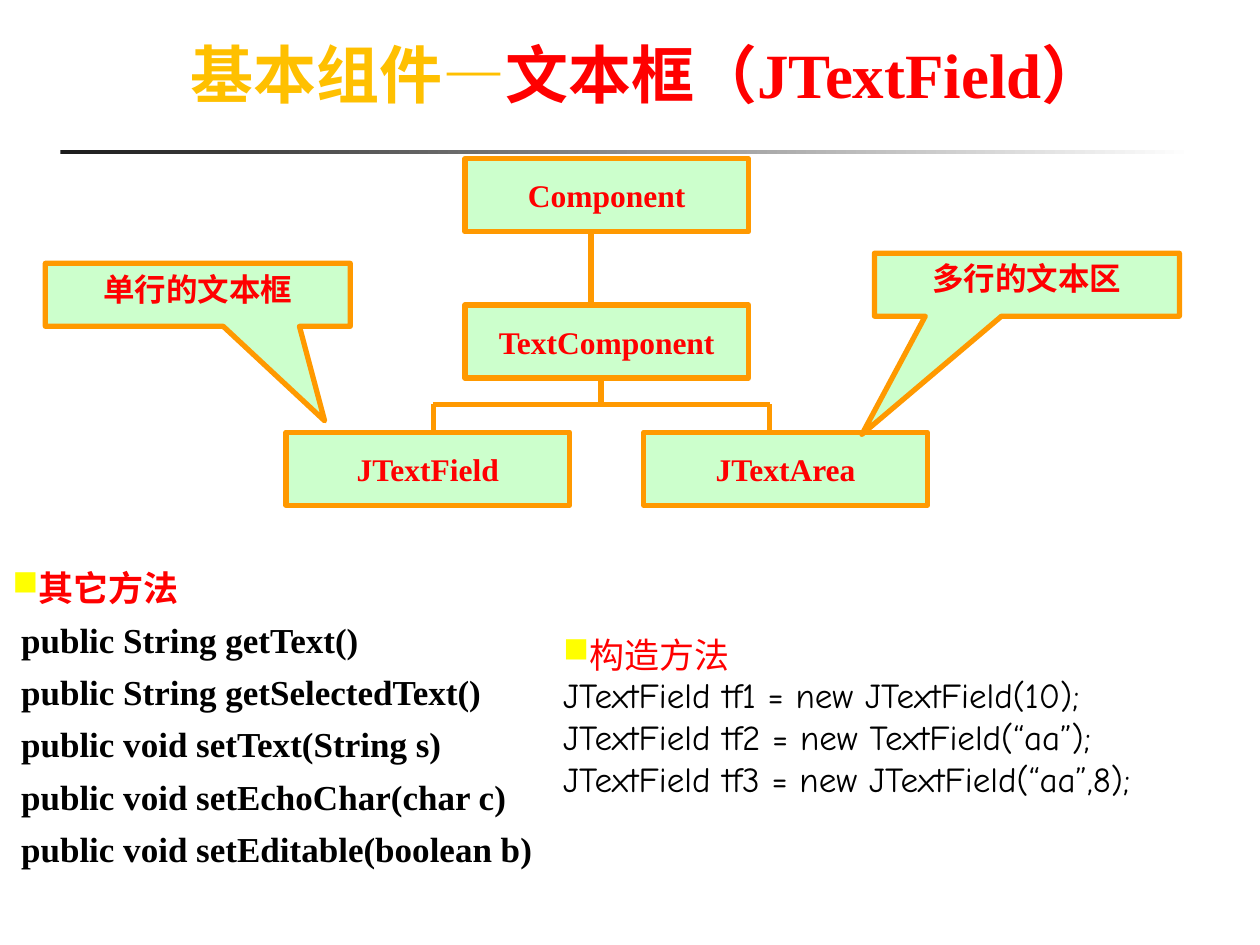
import pptx
import pptx.dml.color
import pptx.enum.shapes
import pptx.enum.text
import pptx.oxml.ns
import pptx.util
from lxml import etree

COLORS = {
    "red": "FF0000", "gold": "FFC000", "black": "000000", "yellow": "FFFF00",
    "mint": "CCFFCC", "orange": "FF9900", "dark": "1C1C1C", "white": "FFFFFF",
}
SERIF, HAN, COMIC = "Times New Roman", "Noto Sans CJK JP", "Comic Neue"

WIDTH, HEIGHT = pptx.util.Inches(10), pptx.util.Inches(7.5)
COL, ROW = WIDTH / 10, HEIGHT / 7.5

NODE_W, NODE_H = 2.25, 0.58
CALLOUT_W, CALLOUT_H = 2.42, 0.5
TRUNK_X, TEXT_ROW, LEAF_ROW, LEFT_COL, RIGHT_COL = 3.69, 2.42, 3.43, 2.27, 5.11
NODES = [
    ("Component", TRUNK_X, 1.26),
    ("TextComponent", TRUNK_X, TEXT_ROW),
    ("JTextField", LEFT_COL, LEAF_ROW),
    ("JTextArea", RIGHT_COL, LEAF_ROW),
]
CALLOUTS = [
    ("单行的文本框", 0.36, 2.09, (0.416, 2)),
    ("多行的文本区", 6.94, 2.01, (-0.541, 2.375)),
]
METHODS = [
    "public String getText()",
    "public String getSelectedText()",
    "public void setText(String s)",
    "public void setEchoChar(char c)",
    "public void setEditable(boolean b)",
]
CONSTRUCTORS = [
    "JTextField tf1 = new JTextField(10);",
    "JTextField tf2 = new TextField(“aa”);",
    "JTextField tf3 = new JTextField(“aa”,8);",
]


def rgb(name):
    return pptx.dml.color.RGBColor.from_string(COLORS[name])


def place(left, top, width, height):
    return [round(n) for n in (left * COL, top * ROW, width * COL, height * ROW)]


def write(p, text, font=SERIF, size=20, color="red", bold=True):
    r = p.add_run()
    r.text = text
    r.font.name, r.font.size, r.font.bold = font, pptx.util.Pt(size), bold
    r.font.color.rgb = rgb(color)
    east = etree.SubElement(r.font._element, pptx.oxml.ns.qn("a:ea"))
    east.set("typeface", HAN)


def add_bullet(p):
    """Put a yellow square directly in front of the paragraph."""
    qn = pptx.oxml.ns.qn
    props = p._p.get_or_add_pPr()
    color = etree.SubElement(props, qn("a:buClr"))
    etree.SubElement(color, qn("a:srgbClr")).set("val", COLORS["yellow"])
    etree.SubElement(props, qn("a:buChar")).set("char", "■")


def add_textbox(s, *box):
    tf = s.shapes.add_textbox(*place(*box)).text_frame
    tf.word_wrap = True
    return tf


def add_title(s):
    p = add_textbox(s, 0.39, 0.23, 9, 0.7).paragraphs[0]
    p.alignment = pptx.enum.text.PP_ALIGN.CENTER
    p._p.get_or_add_pPr().set("marL", str(pptx.util.Inches(0.5)))
    write(p, "基本组件—", font=HAN, size=36, color="gold")
    write(p, "文本框（JTextField）", size=36)


def add_code_list(s, box, heading, lines, spacing, heading_bold, **style):
    tf = add_textbox(s, *box)
    p = tf.paragraphs[0]
    p.line_spacing = 1.2
    add_bullet(p)
    write(p, heading, bold=heading_bold)
    for line in lines:
        p = tf.add_paragraph()
        p.line_spacing = spacing
        p.space_before = pptx.util.Pt(1)
        write(p, line, color="black", **style)


def add_rule(s):
    rect = pptx.enum.shapes.MSO_SHAPE.RECTANGLE
    sp = s.shapes.add_shape(rect, *place(0.48, 1.19, 9, 0.03))
    sp.shadow.inherit = False
    sp.line.fill.background()
    sp.fill.gradient()
    sp.fill.gradient_angle = 0
    for stop, position, color in zip(sp.fill.gradient_stops, (0, 1), ("dark", "white")):
        stop.position = position
        stop.color.rgb = rgb(color)


def add_box(s, kind, text, box, anchor, wrap):
    sp = s.shapes.add_shape(kind, *place(*box))
    sp.shadow.inherit = False
    sp.fill.solid()
    sp.fill.fore_color.rgb = rgb("mint")
    sp.line.color.rgb = rgb("orange")
    sp.line.width = pptx.util.Pt(3)
    tf = sp.text_frame
    tf.word_wrap, tf.vertical_anchor = wrap, anchor
    p = tf.paragraphs[0]
    p.alignment = pptx.enum.text.PP_ALIGN.CENTER
    write(p, text, size=18)
    return sp


def add_line(s, x1, y1, x2, y2):
    straight = pptx.enum.shapes.MSO_CONNECTOR.STRAIGHT
    line = s.shapes.add_connector(straight, *place(x1, y1, x2, y2))
    line.line.color.rgb = rgb("orange")
    line.line.width = pptx.util.Pt(3)
    etree.SubElement(line._element.spPr, pptx.oxml.ns.qn("a:effectLst"))


def add_class_tree(s):
    shapes, anchors = pptx.enum.shapes.MSO_SHAPE, pptx.enum.text.MSO_ANCHOR
    for name, x, y in NODES:
        add_box(s, shapes.RECTANGLE, name, (x, y, NODE_W, NODE_H), anchors.MIDDLE, False)

    bar_y, bar_left, bar_right = 3.21, 3.44, 6.11
    add_line(s, 4.69, 1.26 + NODE_H, 4.69, TEXT_ROW)
    add_line(s, 4.77, TEXT_ROW + NODE_H, 4.77, bar_y)
    add_line(s, bar_left, bar_y, bar_right, bar_y)
    for x in (bar_left, bar_right):
        add_line(s, x, bar_y, x, LEAF_ROW)

    for text, x, y, tip in CALLOUTS:
        sp = add_box(s, shapes.RECTANGULAR_CALLOUT, text,
                     (x, y, CALLOUT_W, CALLOUT_H), anchors.TOP, True)
        sp.adjustments[0], sp.adjustments[1] = tip


def main():
    prs = pptx.Presentation()
    prs.slide_width, prs.slide_height = WIDTH, HEIGHT
    s = prs.slides.add_slide(prs.slide_layouts[6])
    add_rule(s)
    add_code_list(s, (4.37, 4.91, 5.51, 2.13), "构造方法", CONSTRUCTORS,
                  0.95, False, font=COMIC, bold=False)
    add_class_tree(s)
    add_title(s)
    add_code_list(s, (0, 4.38, 5.47, 2.89), "其它方法",
                  [" " + method for method in METHODS], 1.2, True)
    prs.save("out.pptx")


if __name__ == "__main__":
    main()
